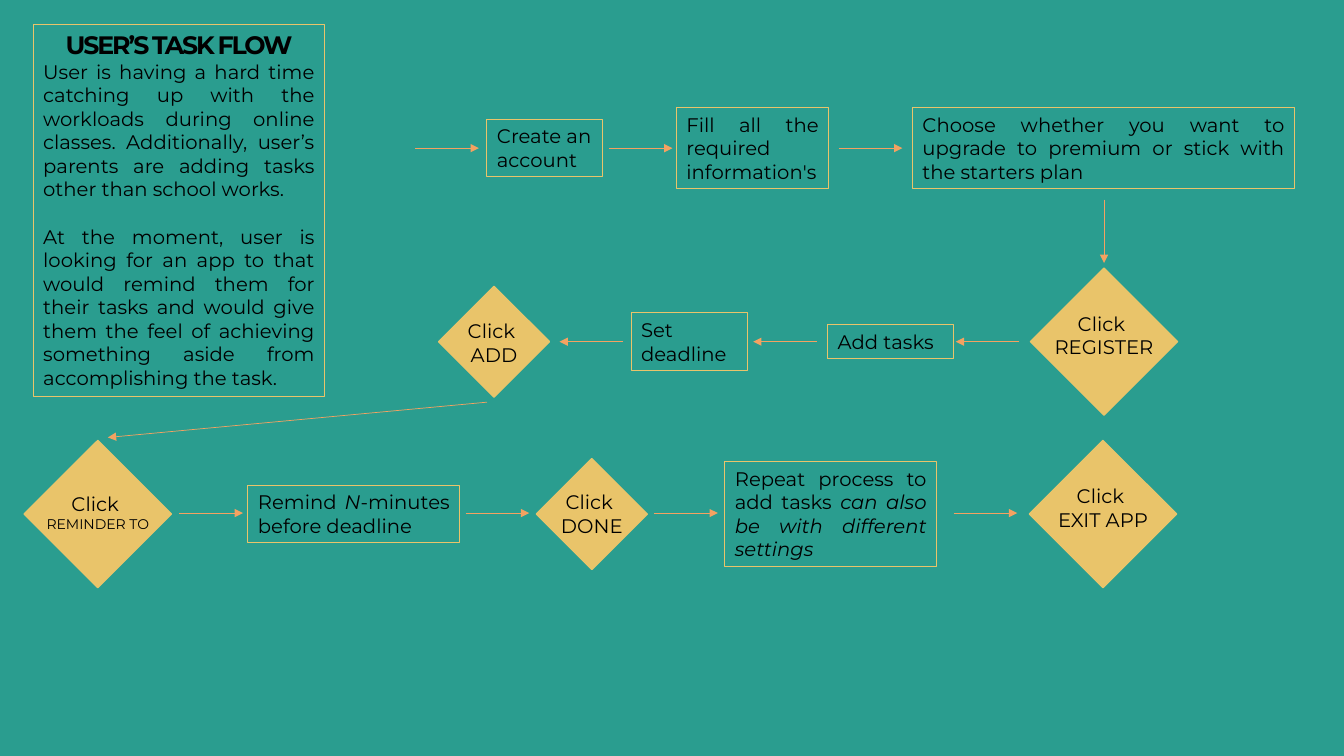
from pptx import Presentation
from pptx.dml.color import RGBColor
from pptx.enum.shapes import MSO_CONNECTOR, MSO_SHAPE
from pptx.enum.text import MSO_ANCHOR, PP_ALIGN
from pptx.oxml.ns import qn
from pptx.util import Inches, Pt
from lxml import etree

RECT, GEM = MSO_SHAPE.RECTANGLE, MSO_SHAPE.DIAMOND
LINE = MSO_CONNECTOR.STRAIGHT
LEFT, MID, JUST = PP_ALIGN.LEFT, PP_ALIGN.CENTER, PP_ALIGN.JUSTIFY
TOP = MSO_ANCHOR.TOP
TEAL, GOLD, RUST, INK = "2A9D8F", "E9C46A", "F4A261", "000000"

deck = Presentation()
deck.slide_width, deck.slide_height = Inches(13.33), Inches(7.5)
COL, ROW = deck.slide_width / 1333, deck.slide_height / 750
slide = deck.slides.add_slide(deck.slide_layouts[6])


def hue(code):
    return RGBColor.from_string(code)


def write(shape, texts, align):
    frame = shape.text_frame
    frame.word_wrap = True
    frame.vertical_anchor = TOP
    for n, text in enumerate(texts):
        para = frame.add_paragraph() if n else frame.paragraphs[0]
        para.alignment = align
        for k, part in enumerate(text.split("*")):
            if k:
                para.add_run().text = part
            else:
                para.text = part
        for k, run in enumerate(para.runs):
            run.font.name = "Montserrat"
            run.font.size = Pt(14)
            run.font.color.rgb = hue(INK)
            if "*" in text:
                run.font.italic = k == 1
    return frame.paragraphs


slide.background.fill.solid()
slide.background.fill.fore_color.rgb = hue(TEAL)

HIGH, CORE, LOW = 147, 339, 510
EDGE, LEAD = 10, 23.5

story = [
    "USER’S TASK FLOW",
    "User is having a hard time catching up with the workloads during online classes. "
    "Additionally, user’s parents are adding tasks other than school works.",
    "At the moment, user is looking for an app to that would remind them for their tasks "
    "and would give them the feel of achieving something aside from accomplishing the task.",
]
boxes = [
    (33, 289, 209, 15.3, JUST, story),
    (483, 115, HIGH, 2, LEFT, ["Create an account"]),
    (671, 151, HIGH, 3, JUST, ["Fill all the required information's"]),
    (905, 379, HIGH, 3, JUST,
     ["Choose whether you want to upgrade to premium or stick with the starters plan"]),
    (821, 125, CORE, 1, JUST, ["Add tasks"]),
    (626, 115, CORE, 2, JUST, ["Set deadline"]),
    (246, 210, LOW, 2, JUST, ["Remind *N*-minutes before deadline"]),
    (719, 210, LOW, 4, JUST,
     ["Repeat process to add tasks *can also be with different settings"]),
]
for x, wide, y, count, align, texts in boxes:
    tall = EDGE + LEAD * count
    box = slide.shapes.add_shape(
        RECT, int(x * COL), int((y - tall / 2) * ROW), int(wide * COL), int(tall * ROW))
    box.shadow.inherit = False
    box.fill.background()
    box.line.color.rgb = hue(GOLD)
    box.line.width = Pt(0.75)
    paras = write(box, texts, align)
    if texts is story:
        head = paras[0]
        head.alignment = MID
        paras[2].space_before = Pt(17)
        title = head.runs[0]
        title.font.size = Pt(18)
        title.font.bold = True
        title.font._element.set("spc", "-150")

BIG, SMALL = 146, 110
gems = [
    (1095, CORE, BIG, -6, "REGISTER", 14),
    (490, CORE, SMALL, 1, "ADD", 14),
    (97, LOW, BIG, -2, "REMINDER TO", 10),
    (587, LOW, SMALL, 0, "DONE", 14),
    (1094, LOW, BIG, -6, "EXIT APP", 14),
]
for x, y, size, drop, word, points in gems:
    group = slide.shapes.add_group_shape()
    gem = group.shapes.add_shape(
        GEM, int((x - size / 2) * COL), int((y - size / 2) * ROW),
        int(size * COL), int(size * ROW))
    gem.shadow.inherit = False
    gem.fill.solid()
    gem.fill.fore_color.rgb = hue(GOLD)
    gem.line.color.rgb = hue(GOLD)
    gem.line.width = Pt(1)
    wide, tall = 126, EDGE + LEAD + LEAD * points / 14
    label = group.shapes.add_textbox(
        int((x - wide / 2) * COL), int((y + drop - tall / 2) * ROW),
        int(wide * COL), int(tall * ROW))
    para = write(label, ["Click \v" + word], MID)[0]
    para.runs[-1].font.size = Pt(points)

STEP = 63
paths = [(x, HIGH, x + STEP, HIGH) for x in (412, 604, 832)]
paths += [(x, CORE, x - STEP, CORE) for x in (1011, 810, 618)]
paths += [(x, LOW - 1, x + STEP, LOW - 1) for x in (178, 462, 649, 946)]
paths += [(1095, 198, 1095, 198 + STEP), (483, 399, 107, 434)]
for x, y, to_x, to_y in paths:
    link = slide.shapes.add_connector(
        LINE, int(x * COL), int(y * ROW), int(to_x * COL), int(to_y * ROW))
    link.line.color.rgb = hue(RUST)
    link.line.width = Pt(0.5)
    tip = etree.SubElement(link.line._get_or_add_ln(), qn("a:tailEnd"))
    tip.set("type", "triangle")
    etree.SubElement(link._element.spPr, qn("a:effectLst"))

deck.save("out.pptx")
